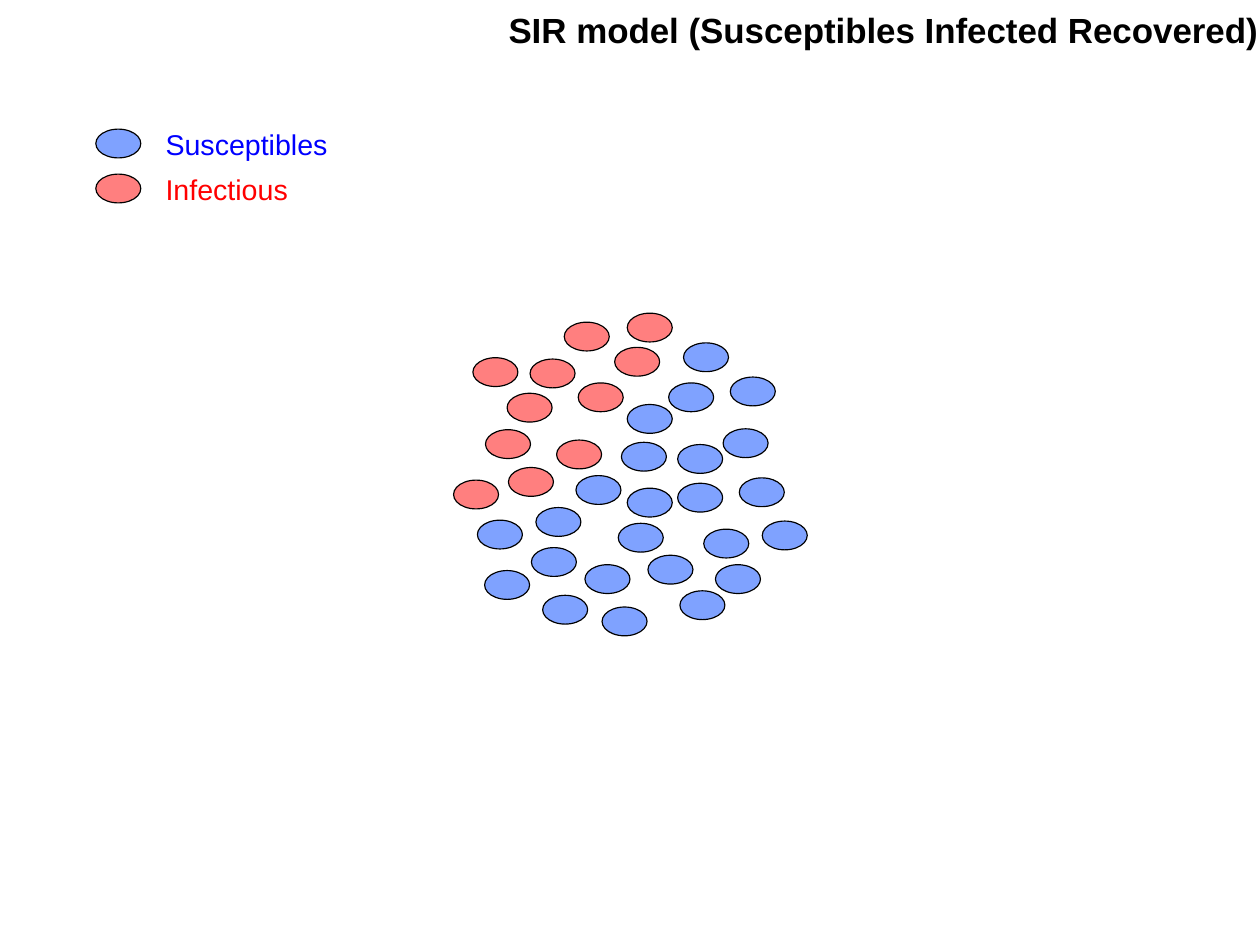
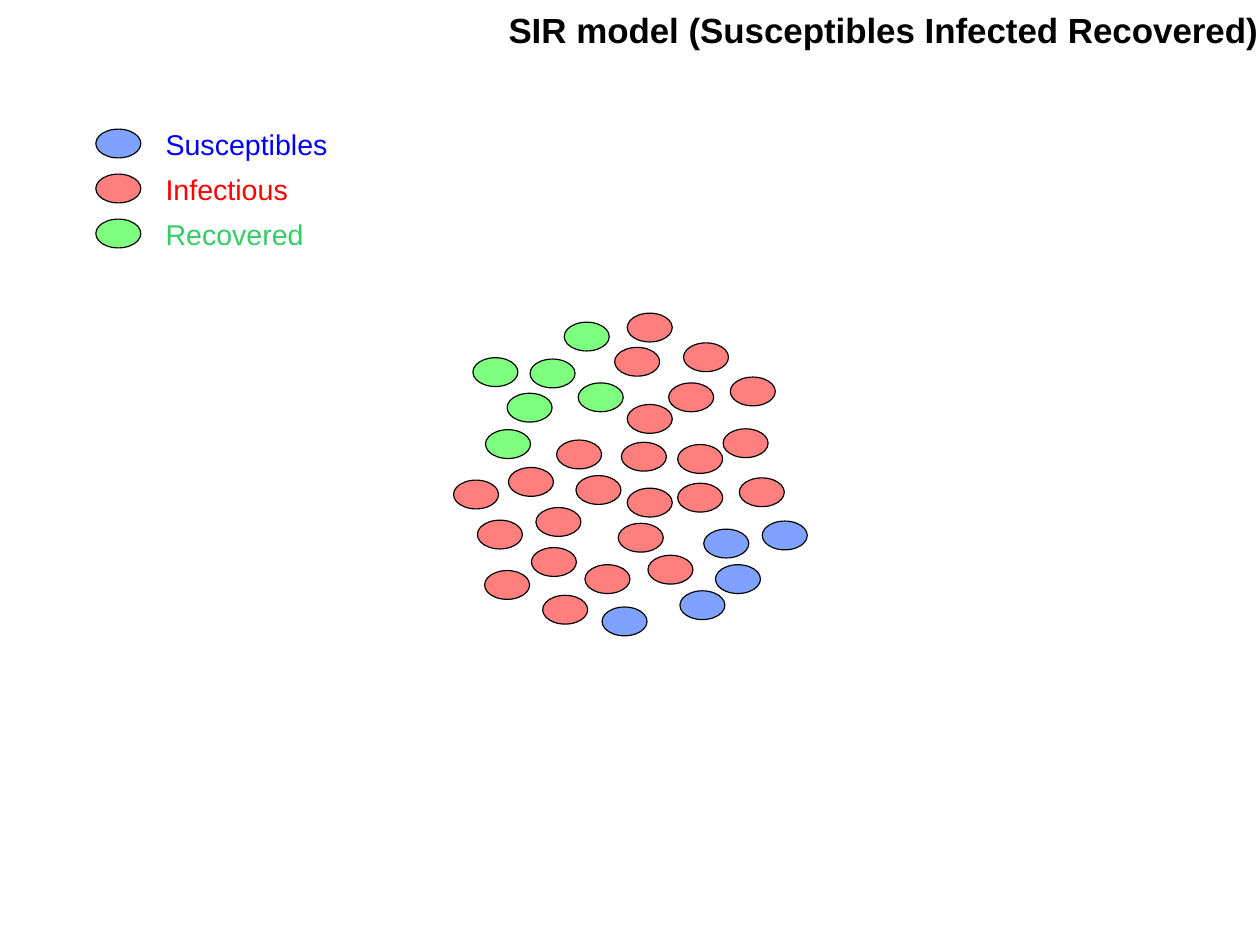
from pptx import Presentation
from pptx.dml.color import RGBColor
from pptx.enum.shapes import MSO_SHAPE
from pptx.enum.text import MSO_ANCHOR, MSO_AUTO_SIZE, PP_ALIGN
from pptx.oxml.ns import qn
from pptx.util import Cm, Pt
from lxml import etree

OVAL = MSO_SHAPE.OVAL
TOP = MSO_ANCHOR.TOP
NO_FIT = MSO_AUTO_SIZE.NONE
LEFT = PP_ALIGN.LEFT

TITLE_ONLY = 5
TITLE = "SIR model (Susceptibles Infected Recovered)"
COLORS = {
    "outline": "000000",
    "title": "000000",
    "Susceptibles": "0047FF",
    "Infectious": "FF0000",
    "Recovered": "00FF00",
}
LABEL_COLORS = {
    "Susceptibles": "0000FF",
    "Infectious": "FF0000",
    "Recovered": "33CC66",
}
TITLE_FONT = {"name": "Arial", "size": Pt(22), "bold": True}
LABEL_FONT = {"name": "Arial", "size": Pt(18), "bold": False}

# All positions and sizes below are in centimetres.
TITLE_BOX = (11.05, 0.1, 16.95, 1.12)
LEGEND_AT = (2.13, 2.72)
CROWD_AT = (10.08, 6.96)
PERSON_W, PERSON_H = 1, 0.64
LEGEND_PITCH = 1

# People grouped by how they fare, placed relative to the crowd's corner.
CROWD = {
    "first": [
        (1.19, 1.78), (2.77, 1.55), (0.71, 2.59),
        (1.7, 1.02), (2.46, 0.2), (0.43, 0.99),
    ],
    "early": [
        (2.29, 2.82), (1.22, 3.43), (0, 3.71), (3.86, 0), (3.58, 0.76),
    ],
    "late": [
        (3.73, 2.87), (4.78, 1.55), (4.98, 3.78), (3.86, 3.89),
        (1.83, 4.32), (1.73, 5.21), (2.92, 5.59), (4.32, 5.38),
        (5.99, 2.57), (6.35, 3.66), (0.53, 4.6), (1.98, 6.27),
        (3.86, 2.03), (2.72, 3.61), (0.69, 5.72), (4.98, 2.92),
        (6.15, 1.42), (5.11, 0.66), (3.66, 4.67),
    ],
    "spared": [
        (5.03, 6.17), (5.56, 4.8), (3.3, 6.53), (5.82, 5.59), (6.86, 4.62),
    ],
}
STAGES = [
    {"first": "Infectious", "early": "Infectious",
     "late": "Susceptibles", "spared": "Susceptibles"},
    {"first": "Recovered", "early": "Infectious",
     "late": "Infectious", "spared": "Susceptibles"},
]


def set_text(sp, text, font, color, wrap, right=0.25):
    tf = sp.text_frame
    frame = {
        "word_wrap": wrap, "auto_size": NO_FIT, "vertical_anchor": TOP,
        "margin_left": Cm(0.25), "margin_top": Cm(0.18),
        "margin_right": Cm(right), "margin_bottom": Cm(0.13),
    }
    for name, value in frame.items():
        setattr(tf, name, value)
    p = tf.paragraphs[0]
    p.alignment = LEFT
    p.line_spacing = 0.93
    p.space_before = Pt(0)
    r = p.add_run()
    r.text = text
    for name, value in font.items():
        setattr(r.font, name, value)
    r.font.color.rgb = RGBColor.from_string(color)


def add_title(s, box):
    sp = s.shapes.title
    sp.left, sp.top, sp.width, sp.height = map(Cm, box)
    set_text(sp, TITLE, TITLE_FONT, COLORS["title"], wrap=False, right=0)


def add_person(s, x, y, state):
    """Draw a half-transparent oval in the colour of the state."""
    sp = s.shapes.add_shape(OVAL, Cm(x), Cm(y), Cm(PERSON_W), Cm(PERSON_H))
    sp.shadow.inherit = False
    sp.fill.solid()
    sp.fill.fore_color.rgb = RGBColor.from_string(COLORS[state])
    color = sp.fill._xPr.find(qn("a:solidFill"))[0]
    etree.SubElement(color, qn("a:alpha")).set("val", "50000")
    sp.line.color.rgb = RGBColor.from_string(COLORS["outline"])
    sp.line.width = Pt(0.75)


def add_legend(s, left, top, states):
    for i, state in enumerate(states):
        y = top + i * LEGEND_PITCH
        add_person(s, left, y + 0.15, state)
        label = s.shapes.add_textbox(Cm(left + 1.3), Cm(y), Cm(4.3), Cm(0.97))
        set_text(label, state, LABEL_FONT, LABEL_COLORS[state], wrap=True)


def add_crowd(s, left, top, stage):
    for group, places in CROWD.items():
        for x, y in places:
            add_person(s, left + x, top + y, stage[group])


def add_stage_slide(prs, stage):
    s = prs.slides.add_slide(prs.slide_layouts[TITLE_ONLY])
    add_title(s, TITLE_BOX)
    add_crowd(s, *CROWD_AT, stage)
    shown = [state for state in LABEL_COLORS if state in stage.values()]
    add_legend(s, *LEGEND_AT, shown)


def main():
    prs = Presentation()
    prs.slide_width, prs.slide_height = Cm(28), Cm(21)
    for stage in STAGES:
        add_stage_slide(prs, stage)
    prs.save("out.pptx")


if __name__ == "__main__":
    main()
